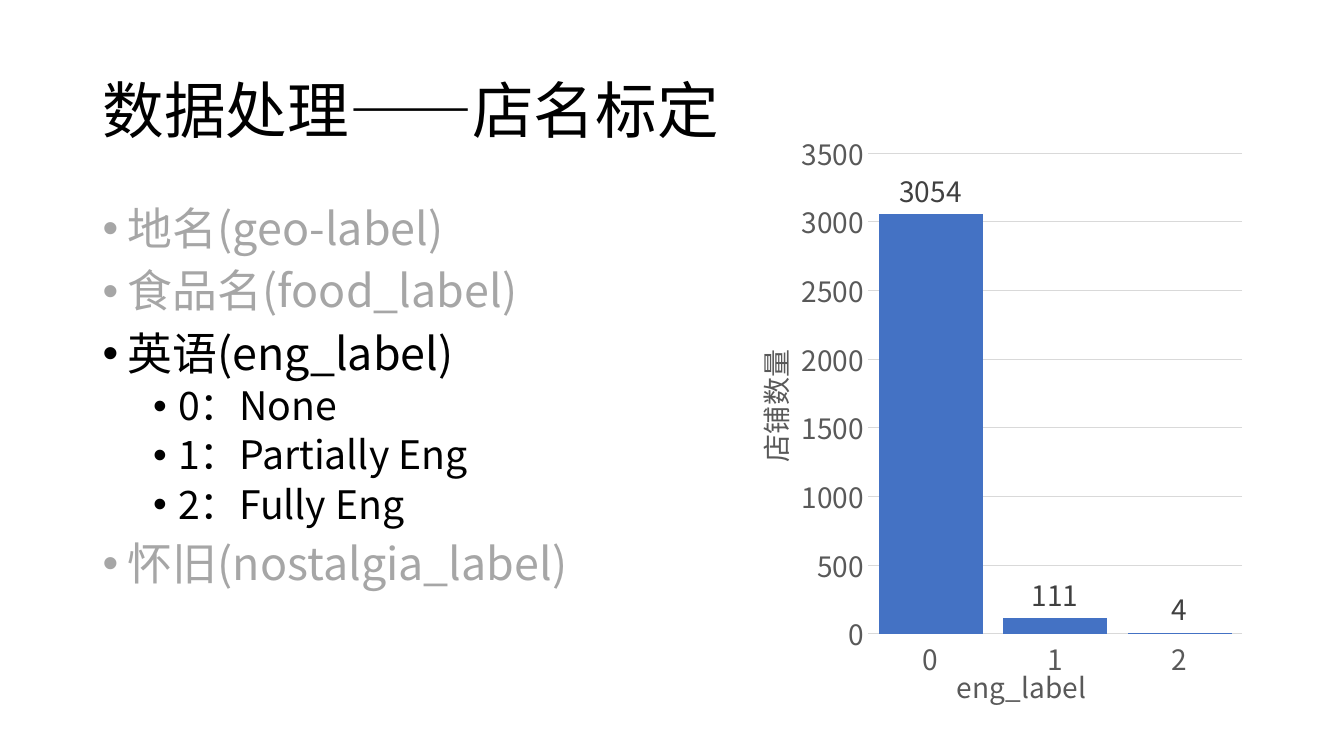
from dataclasses import dataclass

from lxml import etree
from pptx import Presentation
from pptx.chart.axis import _BaseAxis
from pptx.chart.chart import Chart
from pptx.chart.data import CategoryChartData
from pptx.dml.color import RGBColor
from pptx.enum.chart import XL_CHART_TYPE, XL_LABEL_POSITION, XL_TICK_MARK
from pptx.enum.text import MSO_ANCHOR
from pptx.oxml.ns import qn
from pptx.slide import Slide
from pptx.text.text import Font, TextFrame, _Paragraph
from pptx.util import Inches, Pt

COLUMNS = XL_CHART_TYPE.COLUMN_CLUSTERED
OUTSIDE_END = XL_LABEL_POSITION.OUTSIDE_END
NO_TICK = XL_TICK_MARK.NONE
TOP, MIDDLE = MSO_ANCHOR.TOP, MSO_ANCHOR.MIDDLE
BLANK_LAYOUT = 6


@dataclass(frozen=True)
class Theme:
    """Colours, font and type sizes of the slide."""
    face: str = "Noto Sans CJK SC"
    ink: str = "000000"
    muted: str = "A6A6A6"
    axis_text: str = "595959"
    label_text: str = "404040"
    grid: str = "D9D9D9"
    column: str = "4472C4"
    title_size: int = 44
    level_sizes: tuple[int, int] = (32, 28)
    chart_size: int = 20
    line_spacing: float = 0.9
    level_gaps: tuple[int, int] = (10, 5)


@dataclass(frozen=True)
class Area:
    """A rectangle on the slide, in inches."""
    left: float
    top: float
    width: float
    height: float

    def lengths(self) -> list[Inches]:
        """Return the four measures as lengths."""
        return [Inches(side) for side in (self.left, self.top, self.width, self.height)]


@dataclass(frozen=True)
class Item:
    """One bullet of the label list."""
    text: str
    color: str
    level: int = 0


THEME = Theme()
TITLE_AREA = Area(0.92, 0.4, 11.5, 1.45)
LIST_AREA = Area(0.92, 2, 11.5, 4.76)
CHART_AREA = Area(7.4, 1.22, 5.01, 5.88)
PLOT_LAYOUT = {"layoutTarget": "inner", "xMode": "edge", "yMode": "edge",
               "x": 0.242, "y": 0.051, "w": 0.74, "h": 0.811}
LABEL_ITEMS = (
    Item("地名(geo-label)", THEME.muted),
    Item("食品名(food_label)", THEME.muted),
    Item("英语(eng_label)", THEME.ink),
    Item("0：None", THEME.ink, 1),
    Item("1：Partially Eng", THEME.ink, 1),
    Item("2：Fully Eng", THEME.ink, 1),
    Item("怀旧(nostalgia_label)", THEME.muted),
)
SHOP_COUNTS = {"0": 3054, "1": 111, "2": 4}


def apply(target: object, values: dict[str, object]) -> None:
    """Set each named attribute on the target."""
    for name, value in values.items():
        setattr(target, name, value)


def style_font(font: Font, size: int, color: str) -> None:
    """Give Latin and East Asian text the same face, size and colour."""
    apply(font, {"name": THEME.face, "size": Pt(size), "bold": False})
    font.color.rgb = RGBColor.from_string(color)
    font._element.get_or_change_to_solidFill()
    latin = font._element.find(qn("a:latin"))
    east_asian = etree.Element(qn("a:ea"), typeface=THEME.face)
    latin.addnext(east_asian)


def add_span(para: _Paragraph, text: str, size: int, color: str) -> None:
    """Add a styled run of text to a paragraph."""
    span = para.add_run()
    span.text = text
    style_font(span.font, size, color)


def add_text_box(page: Slide, area: Area, anchor: MSO_ANCHOR) -> TextFrame:
    """Add an empty wrapping text box."""
    frame = page.shapes.add_textbox(*area.lengths()).text_frame
    apply(frame, {"word_wrap": True, "vertical_anchor": anchor})
    return frame


def add_title(page: Slide, text: str) -> None:
    """Add the slide title."""
    para = add_text_box(page, TITLE_AREA, MIDDLE).paragraphs[0]
    para.line_spacing = THEME.line_spacing
    add_span(para, text, THEME.title_size, THEME.ink)


def add_label_list(page: Slide, items: tuple[Item, ...]) -> None:
    """Add the two-level bullet list."""
    frame = add_text_box(page, LIST_AREA, TOP)
    for index, item in enumerate(items):
        para = frame.add_paragraph() if index else frame.paragraphs[0]
        gap = THEME.level_gaps[item.level] if index else 0
        apply(para, {"level": item.level, "line_spacing": THEME.line_spacing,
                     "space_before": Pt(gap)})
        properties = para._p.get_or_add_pPr()
        properties.set("marL", str(Inches(0.25 + 0.5 * item.level)))
        properties.set("indent", str(Inches(-0.25)))
        etree.SubElement(properties, qn("a:buFont"), typeface="Arial")
        etree.SubElement(properties, qn("a:buChar"), char="•")
        add_span(para, item.text, THEME.level_sizes[item.level], item.color)


def style_axis(axis: _BaseAxis, title: str, rotation: int) -> None:
    """Style the tick labels and add the axis title."""
    apply(axis, {"major_tick_mark": NO_TICK, "minor_tick_mark": NO_TICK, "has_title": True})
    style_font(axis.tick_labels.font, THEME.chart_size, THEME.axis_text)
    frame = axis.axis_title.text_frame
    frame._txBody.bodyPr.set("rot", str(rotation))
    add_span(frame.paragraphs[0], title, THEME.chart_size, THEME.axis_text)


def place_plot(chart: Chart) -> None:
    """Fix the inner plot area within the chart."""
    plot_area = chart._chartSpace.find(".//" + qn("c:plotArea"))
    for old_layout in plot_area.findall(qn("c:layout")):
        plot_area.remove(old_layout)
    layout = etree.Element(qn("c:layout"))
    manual = etree.SubElement(layout, qn("c:manualLayout"))
    for name, value in PLOT_LAYOUT.items():
        etree.SubElement(manual, qn(f"c:{name}"), val=str(value))
    plot_area.insert(0, layout)


def add_count_chart(page: Slide, counts: dict[str, int]) -> None:
    """Add the column chart of shop counts."""
    data = CategoryChartData()
    data.categories = list(counts)
    data.add_series("Series 1", list(counts.values()))
    chart = page.shapes.add_chart(COLUMNS, *CHART_AREA.lengths(), data).chart
    apply(chart, {"has_legend": False, "has_title": False})
    style_font(chart.font, THEME.chart_size, THEME.ink)
    place_plot(chart)

    plot = chart.plots[0]
    apply(plot, {"gap_width": 20, "overlap": -27, "vary_by_categories": False,
                 "has_data_labels": True})
    apply(plot.data_labels, {"show_value": True, "position": OUTSIDE_END})
    style_font(plot.data_labels.font, THEME.chart_size, THEME.label_text)
    series = plot.series[0]
    series.invert_if_negative = False
    series.format.fill.solid()
    series.format.fill.fore_color.rgb = RGBColor.from_string(THEME.column)

    style_axis(chart.category_axis, "eng_label", 0)
    style_axis(chart.value_axis, "店铺数量", -5400000)
    apply(chart.value_axis, {"minimum_scale": 0, "maximum_scale": 3500, "major_unit": 500,
                             "has_major_gridlines": True})
    chart.value_axis.format.line.fill.background()
    for line in (chart.category_axis.format.line, chart.value_axis.major_gridlines.format.line):
        line.width = Pt(0.75)
        line.color.rgb = RGBColor.from_string(THEME.grid)


def main() -> None:
    """Build and save the slide."""
    deck = Presentation()
    apply(deck, {"slide_width": Inches(13.33), "slide_height": Inches(7.5)})
    page = deck.slides.add_slide(deck.slide_layouts[BLANK_LAYOUT])
    add_title(page, "数据处理——店名标定")
    add_label_list(page, LABEL_ITEMS)
    add_count_chart(page, SHOP_COUNTS)
    deck.save("out.pptx")


if __name__ == "__main__":
    main()
